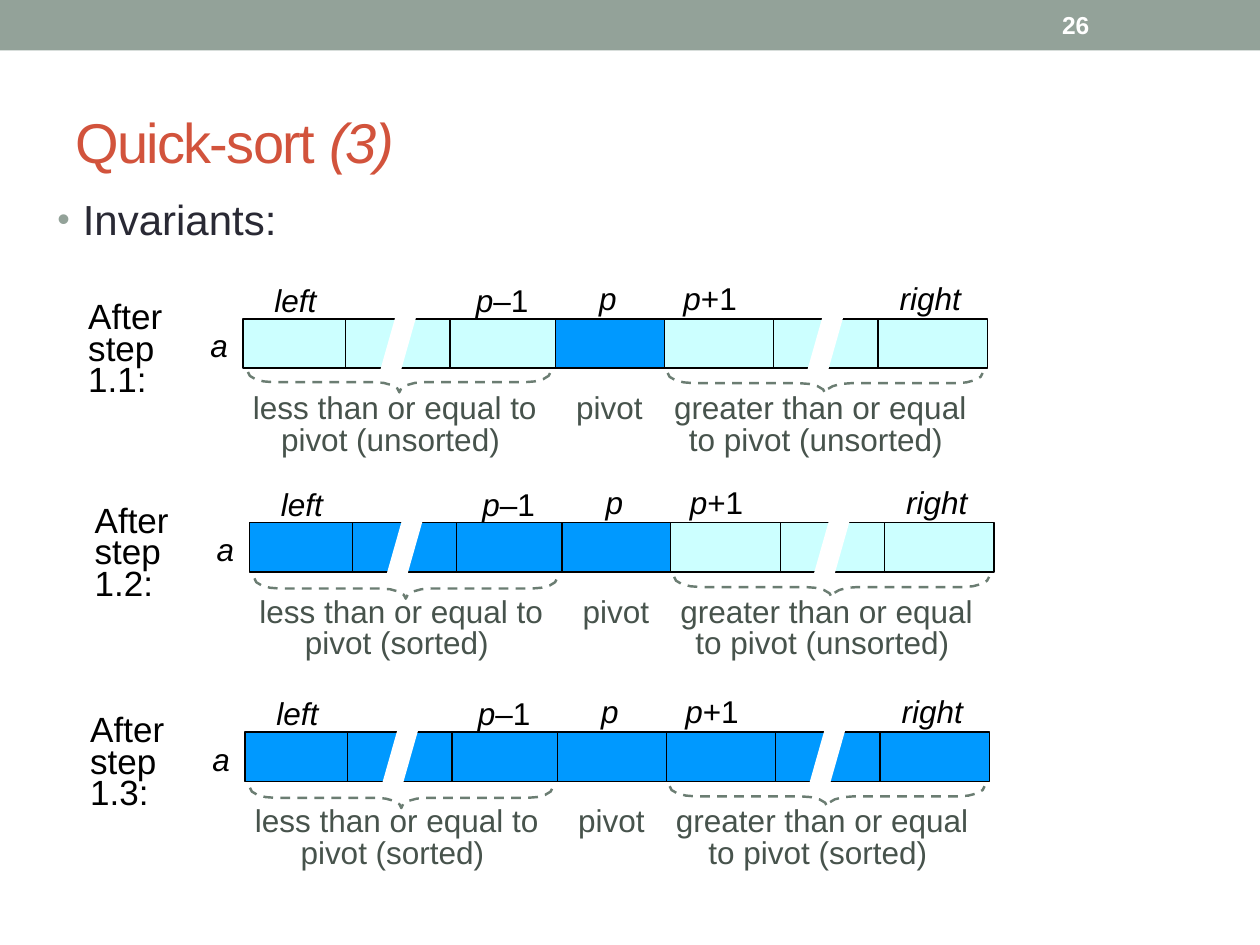
"""Build the quick-sort invariants slide with three partitioned array rows."""
from dataclasses import dataclass
from math import cos, pi, sin
from typing import NamedTuple

from lxml.etree import SubElement
from pptx import Presentation
from pptx.dml.color import RGBColor
from pptx.enum.dml import MSO_LINE
from pptx.enum.shapes import MSO_SHAPE
from pptx.enum.text import MSO_ANCHOR, PP_ALIGN
from pptx.oxml.ns import qn
from pptx.util import Cm, Pt


@dataclass(frozen=True)
class Theme:
    font: str = "Arial"
    band: RGBColor = RGBColor(0x93, 0xA2, 0x99)
    title: RGBColor = RGBColor(0xD2, 0x53, 0x3C)
    body: RGBColor = RGBColor(0x29, 0x29, 0x34)
    ink: RGBColor = RGBColor(0, 0, 0)
    paper: RGBColor = RGBColor(0xFF, 0xFF, 0xFF)
    caption: RGBColor = RGBColor(0x47, 0x53, 0x4C)
    brace: RGBColor = RGBColor(0x6B, 0x7D, 0x72)
    pale: RGBColor = RGBColor(0xCC, 0xFF, 0xFF)
    blue: RGBColor = RGBColor(0x00, 0x99, 0xFF)
    title_size: int = 32
    body_size: int = 24
    step_size: int = 20
    label_size: int = 18
    number_size: int = 14
    leading: int = 18


class Box(NamedTuple):
    left: float
    top: float
    width: float
    height: float

    def moved(self, x: float, y: float) -> "Box":
        return Box(self.left + x, self.top + y, self.width, self.height)

    def lengths(self) -> tuple:
        return tuple(Cm(value) for value in self)


class Span(NamedTuple):
    text: str
    italic: bool = False


@dataclass(frozen=True)
class Label:
    spans: tuple
    left: float
    top: float


@dataclass(frozen=True)
class Step:
    name: str
    left: float
    top: float
    blue_cells: tuple
    lower: str
    upper: str
    brace_top: float = 1.12


THEME = Theme()
CELL_LEFTS = {0: 0, 1: 2.07, 2: 4.17, 3: 6.3, 5: 10.67, 6: 12.8, 4: 8.49}
CUT_LEFTS = (2.69, 11.3)
LABELS = (
    Label((Span("left", True),), 0, -0.76),
    Label((Span("p", True), Span("–1")), 4.17, -0.76),
    Label((Span("p", True),), 6.3, -0.81),
    Label((Span("p", True), Span("+1")), 8.36, -0.81),
    Label((Span("right", True),), 12.8, -0.81),
)
STEPS = (
    Step("After step 1.1:", 4.9, 6.43, (3,), "unsorted", "unsorted", 1.07),
    Step("After step 1.2:", 5.03, 10.54, (0, 1, 2, 3), "sorted", "unsorted"),
    Step("After step 1.3:", 4.94, 14.76, tuple(range(7)), "sorted", "sorted"),
)


def add_text(page, box: Box, spans: tuple, size: int, color: RGBColor, *, align=PP_ALIGN.LEFT,
             leading: int | None = None, wrap: bool = True, padded: bool = False,
             anchor=MSO_ANCHOR.TOP, bold: bool = False):
    frame = page.shapes.add_textbox(*box.lengths()).text_frame
    frame.word_wrap = wrap
    frame.vertical_anchor = anchor
    if not padded:
        frame.margin_left = frame.margin_top = frame.margin_right = frame.margin_bottom = 0
    frame.text = spans[0].text
    paragraph = frame.paragraphs[0]
    for span in spans[1:]:
        paragraph.add_run().text = span.text
    paragraph.alignment = align
    if leading:
        paragraph.line_spacing = Pt(leading)
    for run, span in zip(paragraph.runs, spans):
        run.font.name = THEME.font
        run.font.size = Pt(size)
        run.font.color.rgb = color
        run.font.italic = span.italic
        run.font.bold = bold
    return paragraph


def add_bullet(paragraph) -> None:
    properties = paragraph._p.get_or_add_pPr()
    properties.set("marL", str(Cm(0.51)))
    properties.set("indent", str(Cm(-0.51)))
    color = SubElement(properties, qn("a:buClr"))
    SubElement(color, qn("a:srgbClr"), val=str(THEME.band))
    SubElement(properties, qn("a:buSzPct"), val="85000")
    SubElement(properties, qn("a:buFont"), typeface=THEME.font)
    SubElement(properties, qn("a:buChar"), char="•")


def paint(shape, fill: RGBColor | None, line: RGBColor | None = None, width: float = 0.75) -> None:
    shape.shadow.inherit = False
    if fill is None:
        shape.fill.background()
    else:
        shape.fill.solid()
        shape.fill.fore_color.rgb = fill
    if line is None:
        shape.line.fill.background()
    else:
        shape.line.color.rgb = line
        shape.line.width = Pt(width)


def add_rectangle(page, box: Box, fill: RGBColor, line: RGBColor | None = None) -> None:
    paint(page.shapes.add_shape(MSO_SHAPE.RECTANGLE, *box.lengths()), fill, line)


def add_outline(page, box: Box, points: list, close: bool):
    corners = [(Cm(box.left + x), Cm(box.top + y)) for x, y in points]
    builder = page.shapes.build_freeform(*corners[0])
    builder.add_line_segments(corners[1:], close=close)
    return builder.convert_to_shape()


def add_cut(page, box: Box) -> None:
    middle = box.width / 2
    points = [(middle, 0), (box.width, 0), (middle, box.height), (0, box.height)]
    paint(add_outline(page, box, points, True), THEME.paper)


def add_brace(page, box: Box) -> None:
    radius, depth, middle = box.width / 12, box.height / 2, box.width / 2
    angles = [pi / 2 * index / 4 for index in range(5)]
    half = [(radius * (1 - cos(angle)), depth * sin(angle)) for angle in angles]
    half += [(middle - radius + radius * sin(angle), depth * (2 - cos(angle))) for angle in angles]
    points = half + [(box.width - x, y) for x, y in reversed(half[:-1])]
    shape = add_outline(page, box, points, False)
    paint(shape, None, THEME.brace, 1.38)
    shape.line.dash_style = MSO_LINE.DASH


def add_step(page, step: Step) -> None:
    def place(left: float, top: float, width: float, height: float) -> Box:
        return Box(left, top, width, height).moved(step.left, step.top)

    add_text(page, place(-3.12, -0.28, 1.7, 1.9), (Span(step.name),), THEME.step_size, THEME.ink,
             leading=THEME.leading)
    add_text(page, place(-0.66, 0.15, 0.36, 0.76), (Span("a", True),), THEME.label_size, THEME.ink,
             wrap=False)
    for index, left in CELL_LEFTS.items():
        fill = THEME.blue if index in step.blue_cells else THEME.pale
        add_rectangle(page, place(left, 0, 2.21, 0.99), fill, THEME.ink)
    for left in CUT_LEFTS:
        add_cut(page, place(left, -0.18, 0.84, 1.48))
    for label in LABELS:
        add_text(page, place(label.left, label.top, 2.11, 0.76), label.spans, THEME.label_size,
                 THEME.ink, align=PP_ALIGN.CENTER)
    add_brace(page, place(0.1, step.brace_top, 6.1, 0.41))
    add_brace(page, place(8.56, 1.09, 6.35, 0.41))
    captions = (
        (f"less than or equal to pivot ({step.lower}) ", 0.1, 5.92, 1.27, True),
        ("pivot", 6.71, 1.35, 0.64, False),
        (f"greater than or equal to pivot ({step.upper}) ", 8.56, 6.15, 1.27, True),
    )
    for text, left, width, height, wrap in captions:
        add_text(page, place(left, 1.52, width, height), (Span(text),), THEME.label_size,
                 THEME.caption, align=PP_ALIGN.CENTER, leading=THEME.leading, wrap=wrap)


def main() -> None:
    deck = Presentation()
    deck.slide_width, deck.slide_height = Cm(25.4), Cm(19.05)
    page = deck.slides.add_slide(deck.slide_layouts[6])
    add_rectangle(page, Box(0, 0, 25.4, 1.02), THEME.band)
    title = add_text(page, Box(1.27, 1.47, 22.86, 2.74), (Span("Quick-sort "), Span("(3)", True)),
                     THEME.title_size, THEME.title, padded=True, anchor=MSO_ANCHOR.MIDDLE)
    for run in title.runs:
        run.font._element.set("spc", "-100")
    body = add_text(page, Box(0.91, 3.78, 21.16, 13.34), (Span("Invariants:"),),
                    THEME.body_size, THEME.body, padded=True)
    add_bullet(body)
    for step in STEPS:
        add_step(page, step)
    add_text(page, Box(21.16, 0.05, 2.97, 0.91), (Span("26"),), THEME.number_size, THEME.paper,
             padded=True, anchor=MSO_ANCHOR.MIDDLE, bold=True)
    deck.save("out.pptx")


if __name__ == "__main__":
    main()
